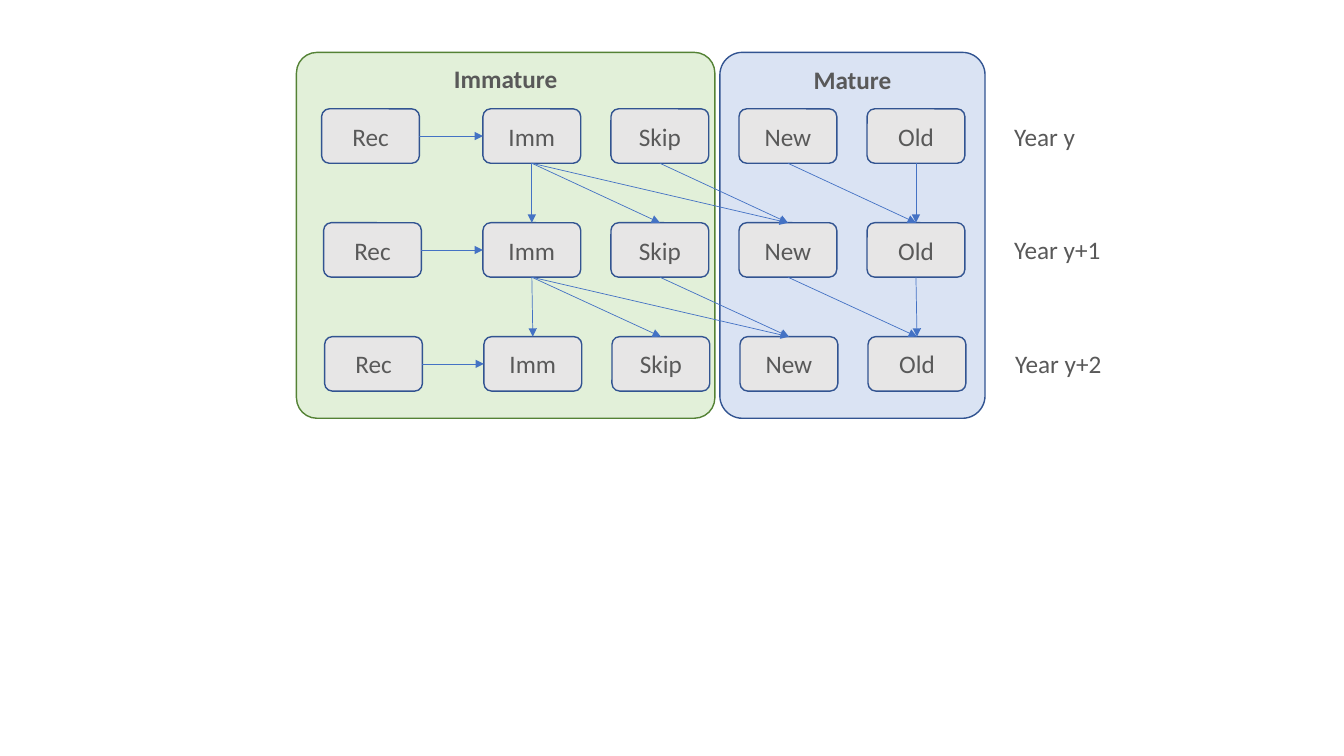
"""Build a slide of yearly moves between immature and mature stages."""
import pptx
import pptx.util
import pptx.oxml
import pptx.oxml.ns
import pptx.dml.color
import pptx.enum.shapes
import pptx.enum.text
from lxml import etree

Inches, Pt = pptx.util.Inches, pptx.util.Pt
RGB = pptx.dml.color.RGBColor.from_string
SHAPE = pptx.enum.shapes.MSO_SHAPE
ANCHOR = pptx.enum.text.MSO_ANCHOR
ALIGN = pptx.enum.text.PP_ALIGN
COLORS = {"text": "595959", "box": "E7E6E6", "edge": "325491", "arrow": "4472C4",
          "green": "E2F0D9", "leaf": "548235", "blue": "DAE3F3"}
TOP, LEFT, BOTTOM, RIGHT = range(4)

deck = pptx.Presentation()
deck.slide_width, deck.slide_height = Inches(13.33), Inches(7.5)
slide = deck.slides.add_slide(deck.slide_layouts[6])


def write(shape, text, bold=False):
    run = shape.text_frame.paragraphs[0].add_run()
    run.text = text
    run.font.name, run.font.size, run.font.bold = "Calibri", Pt(18), bold
    run.font.color.rgb = RGB(COLORS[("text")])


def add_box(text, spot, round_by, fill, edge, anchor, bold=False):
    box = slide.shapes.add_shape(SHAPE.ROUNDED_RECTANGLE, *map(Inches, spot))
    box.adjustments[0] = round_by
    box.shadow.inherit = False
    box.fill.solid()
    box.fill.fore_color.rgb = RGB(COLORS[fill])
    box.line.color.rgb = RGB(COLORS[edge])
    box.line.width = Pt(1)
    box.text_frame.vertical_anchor = anchor
    box.text_frame.paragraphs[0].alignment = ALIGN.CENTER
    write(box, text, bold)
    return box


for name, left, width, round_by, fill, edge in [
        ("Immature", 2.94, 4.15, 0.056, "green", "leaf"),
        ("Mature", 7.14, 2.63, 0.085, "blue", "edge")]:
    add_box(name, (left, 0.52, width, 3.63), round_by, fill, edge, ANCHOR.TOP, True)

stages = ["Imm", "Skip", "New", "Old"]
years = [("Year y", 0, 3.19, 0.81), ("Year y+1", 0, 3.21, 1.07), ("Year y+2", 0.01, 3.22, 1.07)]
rows = []
for i, (year, shift, start, width) in enumerate(years):
    top = 1.08 + 1.13 * i
    spots = {"Rec": start}
    spots.update({stage: 4.79 + shift + 1.27 * j for j, stage in enumerate(stages)})
    rows.append({stage: add_box(stage, (left, top, 0.97, 0.54), 0.142, "box", "edge", ANCHOR.MIDDLE)
                 for stage, left in spots.items()})
    label = slide.shapes.add_textbox(*map(Inches, (9.96 + shift, top + 0.07, width, 0.4)))
    label.text_frame.word_wrap = False
    label.text_frame.auto_size = pptx.enum.text.MSO_AUTO_SIZE.SHAPE_TO_FIT_TEXT
    write(label, year)

moves = [("Imm", "Imm"), ("Imm", "Skip"), ("Imm", "New"),
         ("Skip", "New"), ("New", "Old"), ("Old", "Old")]
links = [(row["Rec"], RIGHT, row["Imm"], LEFT) for row in rows]
for now, later in zip(rows, rows[1:]):
    links += [(now[a], BOTTOM, later[b], TOP) for a, b in moves]

for source, out, target, into in links:
    arrow = slide.shapes.add_connector(pptx.enum.shapes.MSO_CONNECTOR.STRAIGHT, 0, 0, 0, 0)
    arrow.begin_connect(source, out)
    arrow.end_connect(target, into)
    arrow.line.color.rgb = RGB(COLORS["arrow"])
    arrow.line.width = Pt(0.5)
    props = arrow.line._get_or_add_ln()
    etree.SubElement(props, pptx.oxml.ns.qn("a:tailEnd"), type="triangle")
    etree.SubElement(props.getparent(), pptx.oxml.ns.qn("a:effectLst"))

deck.save("out.pptx")
